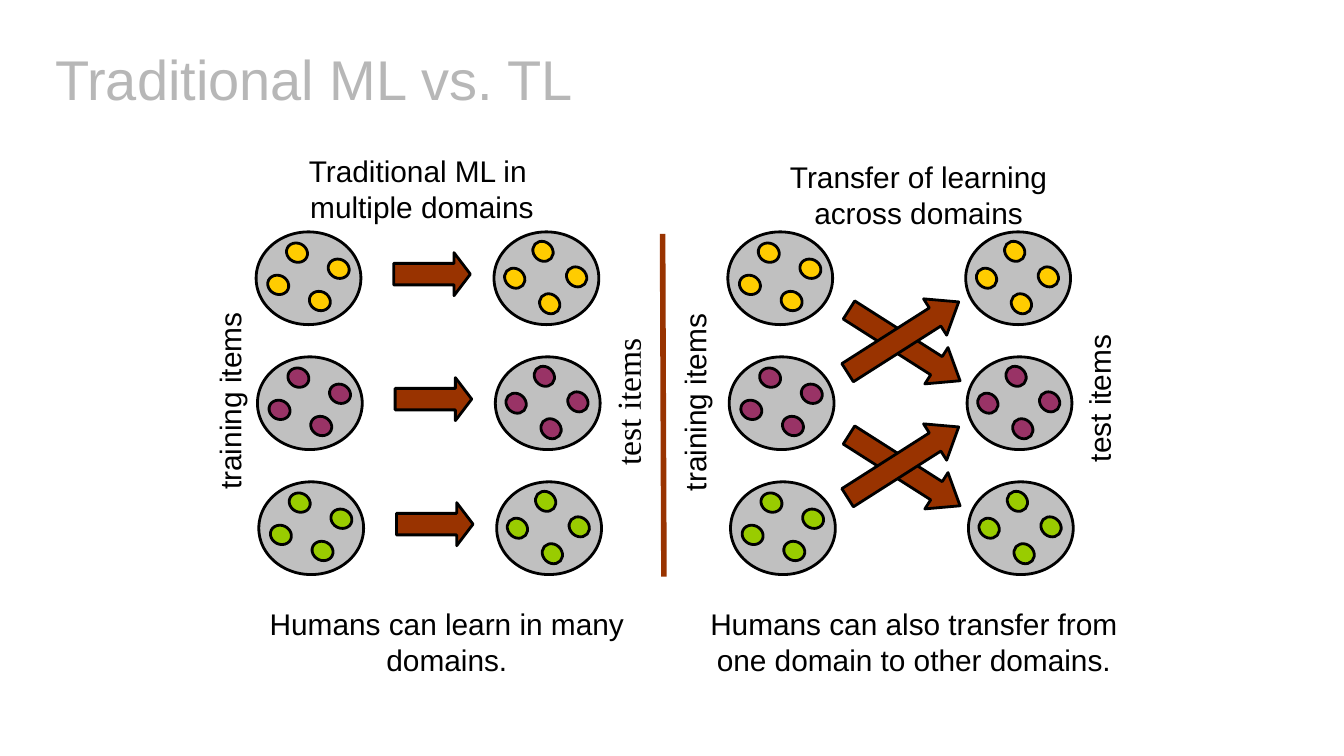
from lxml.etree import SubElement
from pptx import Presentation
from pptx.dml.color import RGBColor
from pptx.enum.shapes import MSO_CONNECTOR, MSO_SHAPE
from pptx.enum.text import MSO_ANCHOR, PP_ALIGN
from pptx.oxml.ns import qn
from pptx.util import Inches, Pt

BLACK = RGBColor(0x00, 0x00, 0x00)
TITLE_GRAY = RGBColor(0xB7, 0xB7, 0xB7)
DOMAIN_GRAY = RGBColor(0xC0, 0xC0, 0xC0)
RUST = RGBColor(0x99, 0x33, 0x00)
YELLOW = RGBColor(0xFF, 0xCC, 0x00)
PLUM = RGBColor(0x99, 0x33, 0x66)
GREEN = RGBColor(0x99, 0xCC, 0x00)

# Content: text lines, box (left, top, width, height), rotation, wrap, font, size
TITLE = "Traditional ML vs. TL"
LABELS = [
    (["Traditional ML in ", "multiple domains"], (2.19, 1.09, 1.9, 0.64), 0, False, "Arial", 16),
    (["Transfer of learning", "across domains"], (5.72, 1.13, 2.23, 0.64), 0, True, "Arial", 16),
    (["training items"], (0.94, 2.8, 1.54, 0.37), 270, False, "Arial", 16),
    (["test items"], (4.09, 2.79, 1.16, 0.4), 270, False, "Times New Roman", 18),
    (["training items"], (4.4, 2.81, 1.54, 0.37), 270, False, "Arial", 16),
    (["test items"], (7.6, 2.78, 1.16, 0.37), 270, False, "Arial", 16),
    (["Humans can learn in many domains."], (1.75, 4.46, 3.15, 0.64), 0, True, "Arial", 16),
    (["Humans can also transfer from one domain to other domains."],
     (5.15, 4.46, 3.3, 0.64), 0, True, "Arial", 16),
]

# Domains: one colour per row, training and test sets side by side in each panel
ROW_COLORS = [YELLOW, PLUM, GREEN]
ROW_STEP, ROW_DRIFT = 0.93, 0.01
PANELS = [(1.95, 1.68), (5.46, 1.68)]
TEST_OFFSET = 1.77
DOMAIN_SIZE = (0.69, 0.78)
ITEM_SIZE = (0.14, 0.16)
TRAINING_ITEMS = (115.6, [(0.05, 0.36), (0.19, 0.12), (0.36, 0.48), (0.5, 0.24)])
TEST_ITEMS = (131.5, [(0.04, 0.31), (0.25, 0.11), (0.3, 0.5), (0.5, 0.3)])

# Arrows
STRAIGHT_OFFSET, STRAIGHT_SIZE, STRAIGHT_HEAD = (0.98, 0.2), (0.57, 0.32), 0.38
CROSS_SIZE, CROSS_HEAD = (0.98, 0.32), 0.65
CROSS_ARROWS = [(6.24, 2.41, 32.5), (6.23, 2.35, -32.5)]


def add_outlined(slide, kind, left, top, size, fill, rotation=0):
    shape = slide.shapes.add_shape(kind, Inches(left), Inches(top), *map(Inches, size))
    shape.shadow.inherit = False
    shape.fill.solid()
    shape.fill.fore_color.rgb = fill
    shape.line.color.rgb = BLACK
    shape.line.width = Pt(1.5)
    shape.rotation = rotation
    return shape


def add_arrow(slide, left, top, size, head, rotation=0):
    arrow = add_outlined(slide, MSO_SHAPE.RIGHT_ARROW, left, top, size, RUST, rotation)
    arrow.adjustments[0] = 0.5
    arrow.adjustments[1] = head


def add_domain(slide, left, top, color, items):
    add_outlined(slide, MSO_SHAPE.OVAL, left, top, DOMAIN_SIZE, DOMAIN_GRAY, 90)
    rotation, offsets = items
    for across, down in offsets:
        add_outlined(slide, MSO_SHAPE.OVAL, left + across, top + down, ITEM_SIZE, color, rotation)


def add_run(paragraph, text, font, size, color):
    run = paragraph.add_run()
    run.text = text
    run.font.name = font
    run.font.size = Pt(size)
    run.font.color.rgb = color


def add_label(slide, lines, box, rotation, wrap, font, size):
    label = slide.shapes.add_textbox(*map(Inches, box))
    label.rotation = rotation
    frame = label.text_frame
    frame.word_wrap = wrap
    for index, line in enumerate(lines):
        paragraph = frame.add_paragraph() if index else frame.paragraphs[0]
        paragraph.alignment = PP_ALIGN.CENTER
        add_run(paragraph, line, font, size, BLACK)


def add_title(slide):
    title = slide.shapes.title
    title.left, title.top, title.width, title.height = map(Inches, (0.34, 0.32, 9.32, 0.63))
    frame = title.text_frame
    frame.margin_left = frame.margin_right = Inches(0.07)
    frame.margin_top = frame.margin_bottom = Inches(0.07)
    frame.vertical_anchor = MSO_ANCHOR.TOP
    paragraph = frame.paragraphs[0]
    paragraph.alignment = PP_ALIGN.LEFT
    paragraph.line_spacing = 0.9
    add_run(paragraph, TITLE, "Arial", 30, TITLE_GRAY)


def main():
    # Widescreen slide, 16 to 9
    presentation = Presentation()
    presentation.slide_width = Inches(10)
    presentation.slide_height = Inches(10 * 9 / 16)
    slide = presentation.slides.add_slide(presentation.slide_layouts[5])
    add_title(slide)

    # Training and test domains of both panels
    for panel, (panel_left, panel_top) in enumerate(PANELS):
        for row, color in enumerate(ROW_COLORS):
            left, top = panel_left + row * ROW_DRIFT, panel_top + row * ROW_STEP
            add_domain(slide, left, top, color, TRAINING_ITEMS)
            add_domain(slide, left + TEST_OFFSET, top, color, TEST_ITEMS)
            if panel == 0:
                across, down = STRAIGHT_OFFSET
                add_arrow(slide, left + across, top + down, STRAIGHT_SIZE, STRAIGHT_HEAD)

    # Crossing arrows between neighbouring rows
    for row in range(len(ROW_COLORS) - 1):
        for left, top, rotation in CROSS_ARROWS:
            add_arrow(slide, left, top + row * ROW_STEP, CROSS_SIZE, CROSS_HEAD, rotation)

    # Divider between the panels
    divider = slide.shapes.add_connector(
        MSO_CONNECTOR.STRAIGHT, Inches(4.93), Inches(1.74), Inches(4.94), Inches(4.29))
    divider.line.color.rgb = RUST
    divider.line.width = Pt(3)
    SubElement(divider._element.spPr, qn("a:effectLst"))

    # Headings, side labels and captions
    for label in LABELS:
        add_label(slide, *label)

    presentation.save("out.pptx")


if __name__ == "__main__":
    main()
